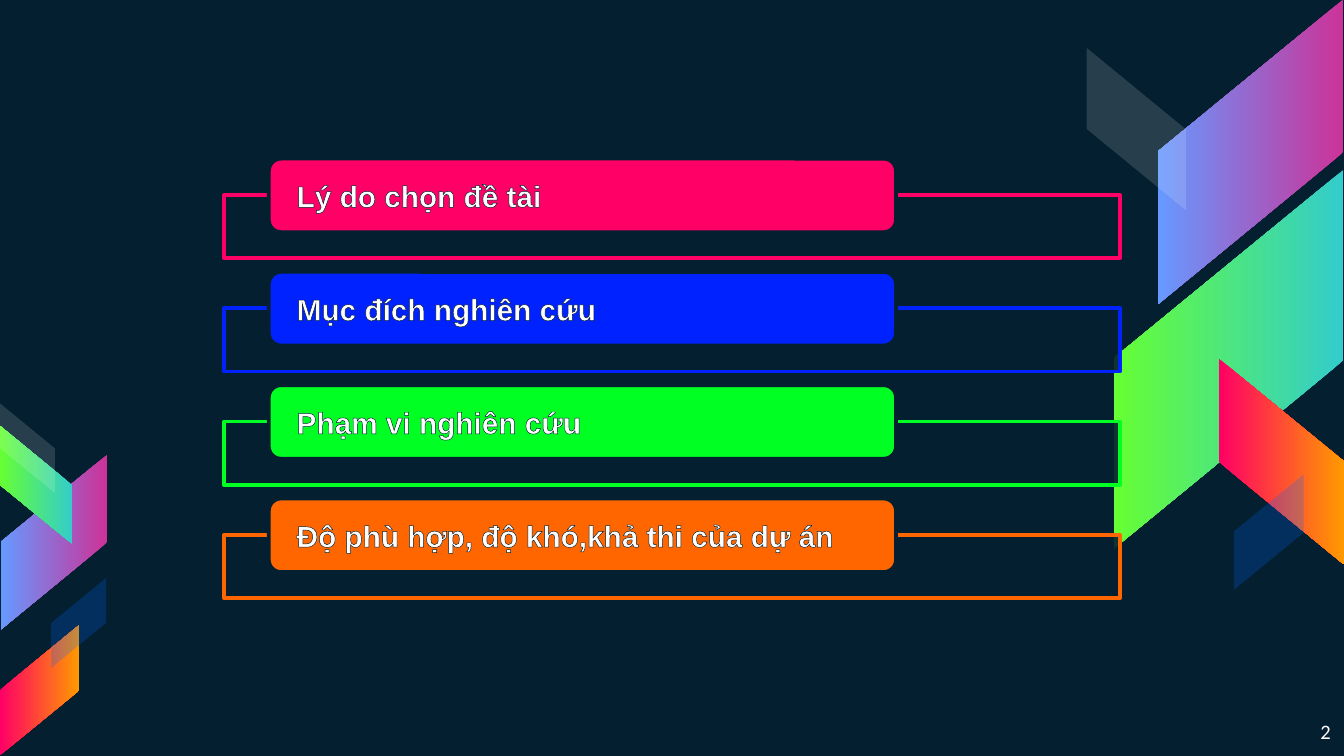
import pptx
import pptx.util
import pptx.dml.color
import pptx.enum.shapes
import pptx.enum.text
import pptx.oxml.ns
from lxml import etree

Pt = pptx.util.Pt
Shape = pptx.enum.shapes.MSO_SHAPE
Align = pptx.enum.text.PP_ALIGN
Anchor = pptx.enum.text.MSO_ANCHOR
qn = pptx.oxml.ns.qn

NAVY, WHITE = "041F30", "FFFFFF"


def color(code):
    return pptx.dml.color.RGBColor.from_string(code)


class Deck:
    font = "Arial"
    size = 16

    def __init__(self, slide):
        self.slide = slide
        slide.background.fill.solid()
        slide.background.fill.fore_color.rgb = color(NAVY)

    def shape(self, kind, box, fill=None, alpha=100, line=None):
        item = self.slide.shapes.add_shape(kind, *map(Pt, box))
        item.shadow.inherit = False
        if fill:
            item.fill.solid()
            item.fill.fore_color.rgb = color(fill)
            if alpha < 100:
                solid = item._element.spPr.find(qn("a:solidFill"))
                tint = solid.find(qn("a:srgbClr"))
                etree.SubElement(tint, qn("a:alpha"), val=str(alpha * 1000))
        if line:
            item.line.color.rgb = color(line)
            item.line.width = Pt(2)
        else:
            item.line.fill.background()
        return item

    def ribbon(self, box, turn, flip, fill, alpha=100):
        # A pair of colours makes a gradient, a single one a clear tint
        blend = isinstance(fill, tuple)
        item = self.shape(Shape.PARALLELOGRAM, box, None if blend else fill, alpha)
        item.adjustments[0] = 0.82
        item.rotation = turn
        if flip:
            item._element.spPr.find(qn("a:xfrm")).set("flipH", "1")
        if blend:
            item.fill.gradient()
            item.fill.gradient_angle = 270
            for stop, code, spot in zip(item.fill.gradient_stops, fill, (0, 1)):
                stop.color.rgb = color(code)
                stop.position = spot

    def label(self, frame, text, size, font, align):
        frame.word_wrap = True
        frame.text = text
        par = frame.paragraphs[0]
        par.alignment = align
        run = par.runs[0]
        run.font.size = Pt(size)
        run.font.name = font
        run.font.color.rgb = color(WHITE)
        return run

    def bar(self, box, text, fill):
        item = self.shape(Shape.ROUNDED_RECTANGLE, box, fill, line=NAVY)
        frame = item.text_frame
        frame.vertical_anchor = Anchor.MIDDLE
        frame.margin_left = frame.margin_right = Pt(13)
        frame.margin_top = frame.margin_bottom = 0
        run = self.label(frame, text, self.size, self.font, Align.LEFT)
        run.font.bold = True
        # Thin dark outline around the letters
        edge = etree.Element(qn("a:ln"), w=str(Pt(0.75)))
        paint = etree.SubElement(edge, qn("a:solidFill"))
        etree.SubElement(paint, qn("a:srgbClr"), val=NAVY)
        run._r.get_or_add_rPr().insert(0, edge)

    def number(self, box, text):
        frame = self.slide.shapes.add_textbox(*map(Pt, box)).text_frame
        frame.margin_left = frame.margin_right = Pt(7.2)
        frame.margin_top = frame.margin_bottom = Pt(7.2)
        self.label(frame, text, 11, "Calibri", Align.RIGHT)


def main():
    show = pptx.Presentation()
    show.slide_width, show.slide_height = Pt(720), Pt(405)
    deck = Deck(show.slides.add_slide(show.slide_layouts[6]))

    # Ribbons: box before turning, turn, flip, fill, opacity
    plum = ("CC3399", "6699FF")
    lime = ("33CCCC", "66FF33")
    fire = ("FF0066", "FF9900")
    blue = "0066FF"
    ribbons = [
        # Right side
        ((588.2, 31.7, 163.4, 99.4), 90, True, plum),
        ((556.6, 131, 203, 123.1), 90, True, lime),
        ((631.4, 213.8, 110.2, 67), 270, False, fire),
        ((565.2, 42.5, 87.1, 53.3), 270, False, WHITE, 14),
        ((648.7, 266.4, 61.9, 37.4), 270, True, blue, 23),
        # Left side
        ((-18, 262.1, 93.6, 56.9), 90, True, plum),
        ((-12.2, 240.5, 63.4, 38.9), 90, False, lime),
        ((-13.7, 348.5, 69.8, 42.5), 270, True, fire),
        ((-9.4, 225.4, 48.2, 29.5), 270, False, WHITE, 14),
        ((18, 319, 48.2, 29.5), 270, True, blue, 23),
    ]
    for ribbon in ribbons:
        deck.ribbon(*ribbon)

    # Slide number
    deck.number((673.9, 378.7, 46.1, 25.9), "2")

    # Agenda: a framed strip with a label bar on its top edge
    topics = [
        ("Lý do chọn đề tài", "FF0066"),
        ("Mục đích nghiên cứu", "0022FF"),
        ("Phạm vi nghiên cứu", "00FF22"),
        ("Độ phù hợp, độ khó,khả thi của dự án", "FF6600"),
    ]
    step = 60.7
    for row, (text, hue) in enumerate(topics):
        top = 85 + row * step
        deck.shape(Shape.RECTANGLE, (120, top + 19.4, 480, 34), NAVY, 90, hue)
        deck.bar((144, top, 336, 39.4), text, hue)

    show.save("out.pptx")


if __name__ == "__main__":
    main()
